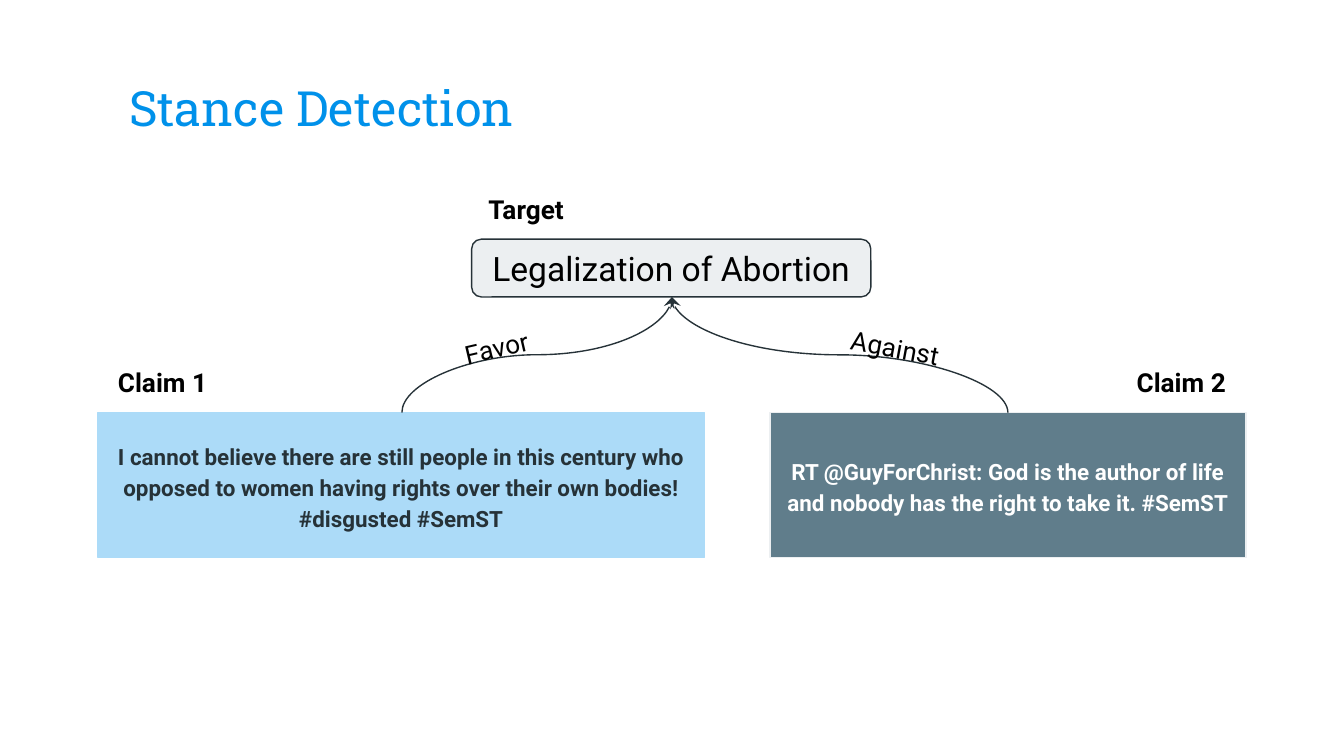
"""Build a slide showing two claims and their stance toward one target."""
from dataclasses import dataclass

from lxml import etree
from pptx import Presentation
from pptx.dml.color import RGBColor
from pptx.enum import shapes, text
from pptx.oxml import ns
from pptx.util import Inches, Pt


@dataclass(frozen=True)
class Theme:
    title_font: str = "Roboto Slab"
    body_font: str = "Roboto"
    blue: str = "0091EA"
    light_blue: str = "ACDBF8"
    slate: str = "607D8B"
    pale: str = "ECEFF1"
    ink: str = "263238"
    black: str = "000000"
    white: str = "FFFFFF"
    title_size: int = 26
    target_size: int = 18
    label_size: int = 14
    claim_size: int = 12
    line_width: float = 0.75


theme = Theme()


def write(shape, words, size, color, bold=False, font=theme.body_font,
          align=text.PP_ALIGN.CENTER, anchor=text.MSO_ANCHOR.MIDDLE):
    frame = shape.text_frame
    frame.text = words
    frame.word_wrap = True
    frame.vertical_anchor = anchor
    frame.margin_left = frame.margin_right = Inches(0.1)
    frame.margin_top = frame.margin_bottom = Inches(0.1)
    paragraph = frame.paragraphs[0]
    paragraph.alignment = align
    run = paragraph.runs[0]
    run.font.name = font
    run.font.size = Pt(size)
    run.font.bold = bold
    run.font.color.rgb = RGBColor.from_string(color)
    return paragraph


presentation = Presentation()
presentation.slide_width = Inches(10)
presentation.slide_height = Inches(10 * 9 / 16)
slide = presentation.slides.add_slide(presentation.slide_layouts[5])

title = slide.shapes.title
title.left, title.top = Inches(0.86), Inches(0.34)
title.width, title.height = Inches(8.28), Inches(0.77)
write(title, "Stance Detection", theme.title_size, theme.blue, font=theme.title_font,
      align=text.PP_ALIGN.LEFT, anchor=text.MSO_ANCHOR.BOTTOM)

target_x, target_bottom, claim_top = 5, 2.21, 3.07
boxes = [
    ("Legalization of Abortion", 3.51, 1.78, 2.97, 0.43, 0.167,
     theme.pale, theme.ink, theme.target_size, theme.black, False, 1),
    ("RT @GuyForChrist: God is the author of life and nobody has the right to take it. #SemST",
     5.73, claim_top, 3.54, 1.08, 0,
     theme.slate, theme.pale, theme.claim_size, theme.white, True, 1.15),
    ("I cannot believe there are still people in this century who opposed to women "
     "having rights over their own bodies! #disgusted #SemST",
     0.73, claim_top, 4.51, 1.08, 0,
     theme.light_blue, theme.light_blue, theme.claim_size, theme.ink, True, 1.15),
]
for words, left, top, width, height, corner, fill, line, size, color, bold, spacing in boxes:
    box = slide.shapes.add_shape(shapes.MSO_SHAPE.ROUNDED_RECTANGLE, Inches(left),
                                 Inches(top), Inches(width), Inches(height))
    box.adjustments[0] = corner
    box.shadow.inherit = False
    box.fill.solid()
    box.fill.fore_color.rgb = RGBColor.from_string(fill)
    box.line.color.rgb = RGBColor.from_string(line)
    box.line.width = Pt(theme.line_width)
    write(box, words, size, color, bold).line_spacing = spacing

target_point = (target_x, target_bottom)
curves = [
    ((7.5, claim_top), target_point, "a:tailEnd"),
    (target_point, (2.99, claim_top), "a:headEnd"),
]
for (start_x, start_y), (end_x, end_y), arrow_end in curves:
    center_x, center_y = (start_x + end_x) / 2, (start_y + end_y) / 2
    half_x, half_y = (end_x - start_x) / 2, (end_y - start_y) / 2
    curve = slide.shapes.add_connector(
        shapes.MSO_CONNECTOR.CURVE,
        Inches(center_x - half_y), Inches(center_y + half_x),
        Inches(center_x + half_y), Inches(center_y - half_x))
    curve.line.color.rgb = RGBColor.from_string(theme.ink)
    curve.line.width = Pt(theme.line_width)
    properties = curve._element.spPr
    properties.find(ns.qn("a:xfrm")).set("rot", str(90 * 60000))
    etree.SubElement(properties.find(ns.qn("a:ln")), ns.qn(arrow_end), type="stealth")
    etree.SubElement(properties, ns.qn("a:effectLst"))

labels = [
    ("Favor", 3.34, 2.37, 0.71, -13.1, False),
    ("Against", 6.18, 2.37, 0.96, 10.5, False),
    ("Target", 3.51, 1.34, 0.81, 0, True),
    ("Claim 1", 0.73, 2.63, 0.96, 0, True),
    ("Claim 2", 8.31, 2.63, 0.96, 0, True),
]
for words, left, top, width, angle, bold in labels:
    label = slide.shapes.add_textbox(Inches(left), Inches(top), Inches(width), Inches(0.44))
    label.rotation = angle
    write(label, words, theme.label_size, theme.black, bold, anchor=text.MSO_ANCHOR.TOP)
    label.text_frame.auto_size = text.MSO_AUTO_SIZE.SHAPE_TO_FIT_TEXT

presentation.save("out.pptx")
